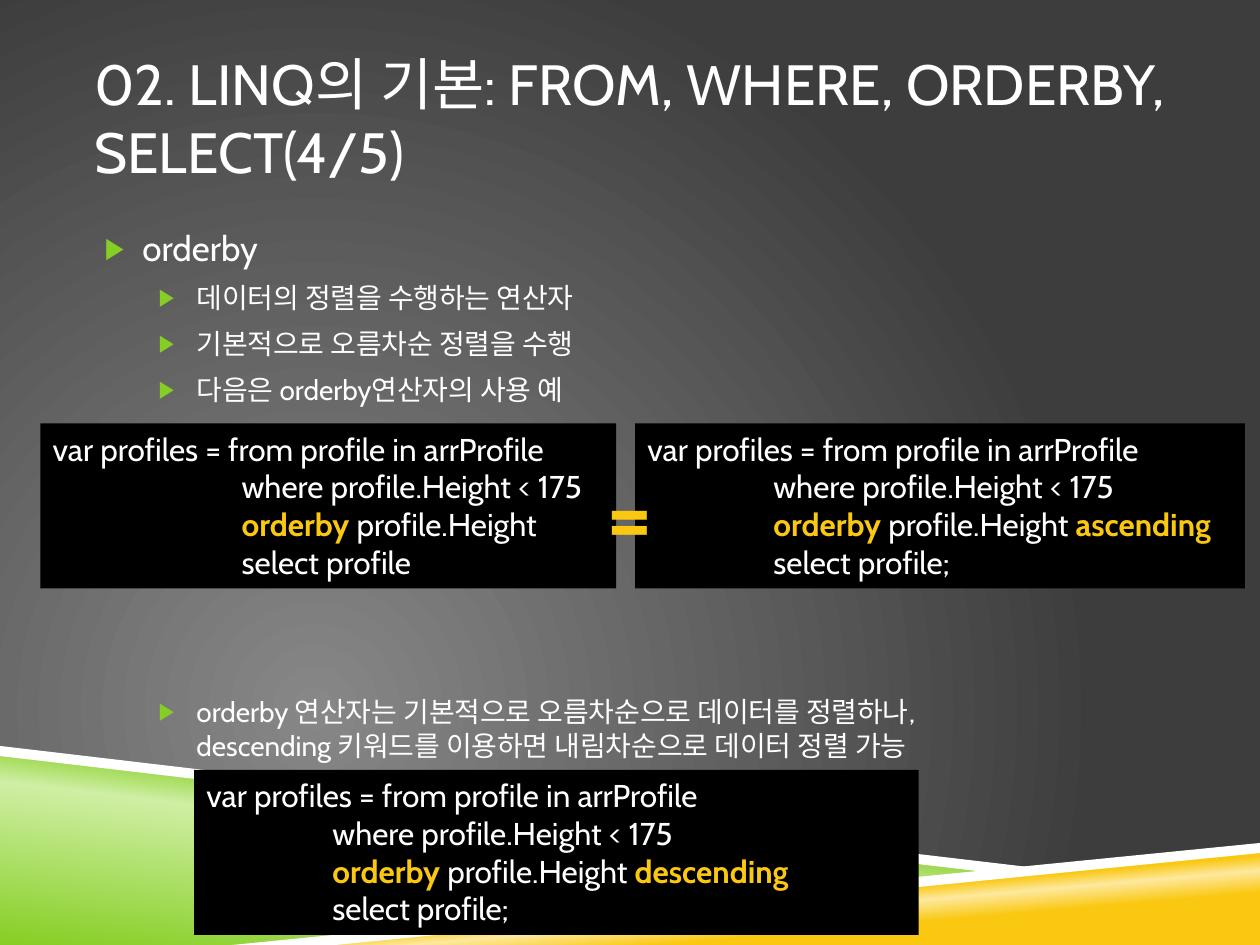
from pptx import Presentation
from pptx.dml.color import RGBColor
from pptx.enum.shapes import MSO_SHAPE
from pptx.enum.text import MSO_ANCHOR, PP_ALIGN
from pptx.oxml import parse_xml
from pptx.oxml.ns import nsdecls, qn
from pptx.util import Inches, Pt

RECT = MSO_SHAPE.RECTANGLE
TOP, MIDDLE = MSO_ANCHOR.TOP, MSO_ANCHOR.MIDDLE
LEFT, CENTER = PP_ALIGN.LEFT, PP_ALIGN.CENTER
FONT = "Cabin"
COLORS = {
    "white": "FFFFFF", "black": "000000",
    "green": "86CE24", "mint": "CFEFA4",
    "gold": "FAC810", "cream": "FDE99F",
    "gray": "878787", "dark": "3D3D3D",
}


def rgb(name):
    return RGBColor.from_string(COLORS[name])


def blend(props, stops, shade):
    """Swap the solid fill inside props for a gradient."""
    marks = "".join(
        f'<a:gs pos="{pos * 1000}"><a:srgbClr val="{COLORS[name]}"/></a:gs>'
        for pos, name in stops)
    grad = parse_xml(f'<a:gradFill {nsdecls("a")} rotWithShape="1">'
                     f'<a:gsLst>{marks}</a:gsLst>{shade}</a:gradFill>')
    props.replace(props.find(qn("a:solidFill")), grad)


def add_run(para, text, size, color="white", bold=False):
    run = para.add_run()
    run.text = text
    font = run.font
    font.name, font.size, font.bold = FONT, Pt(size), bold
    font.color.rgb = rgb(color)
    props = run._r.get_or_add_rPr()
    for tag in ("a:ea", "a:cs"):
        props.append(props.makeelement(qn(tag), {"typeface": FONT}))


def indent(para, left, first=0):
    props = para._p.get_or_add_pPr()
    props.set("marL", str(Inches(left)))
    props.set("indent", str(Inches(first)))
    return props


def add_text(slide, box, anchor, side=0.0):
    frame = slide.shapes.add_textbox(*map(Inches, box)).text_frame
    frame.word_wrap = True
    frame.vertical_anchor = anchor
    frame.margin_left = frame.margin_right = Inches(side)
    return frame


def next_para(frame, index):
    return frame.add_paragraph() if index else frame.paragraphs[0]


def add_band(slide, points, color, stops=None, angle=0):
    (x, y), *rest = [(Inches(a), Inches(b)) for a, b in points]
    pen = slide.shapes.build_freeform(x, y)
    pen.add_line_segments(rest, close=True)
    band = pen.convert_to_shape()
    band.shadow.inherit = False
    band.line.fill.background()
    band.fill.solid()
    band.fill.fore_color.rgb = rgb(color)
    if stops:
        blend(band._element.spPr, stops,
              f'<a:lin ang="{angle * 60000}" scaled="0"/>')


def add_backdrop(slide, wide, high):
    slide.background.fill.solid()
    blend(slide.element.find(".//" + qn("p:bgPr")),
          [(0, "gray"), (100, "dark")],
          '<a:path path="circle"><a:fillToRect l="50000" t="100000" '
          'r="100000" b="50000"/></a:path>')
    # Coloured wedges, then their white edges
    add_band(slide, [(0, 5.97), (7.92, 6.92), (2, high), (0, high)], "green",
             [(0, "green"), (52, "mint"), (66, "green")], 277)
    add_band(slide, [(1.98, high), (wide, 6.72), (wide, high)], "gold",
             [(28, "gold"), (40, "cream"), (48, "gold")], 265)
    add_band(slide, [(0, 5.92), (0, 6), (7.9, 6.93), (8.32, 6.9)], "white")
    add_band(slide, [(wide, 6.69), (1.84, high), (2.66, high), (wide, 6.77)],
             "white")


def add_title(slide, box, text):
    frame = add_text(slide, box, MIDDLE)
    add_run(frame.paragraphs[0], text, 32.4)


def add_bullets(slide, box, items):
    frame = add_text(slide, box, TOP)
    for i, (level, before, lines) in enumerate(items):
        para = next_para(frame, i)
        para.level = level
        para.space_before = Pt(before)
        props = indent(para, (0.38, 0.81)[level], -0.3)
        for part in (f'<a:buClr {{}}><a:srgbClr val="{COLORS["green"]}"/></a:buClr>',
                     '<a:buSzPct {} val="85000"/>',
                     '<a:buFont {} typeface="Arial"/>',
                     '<a:buChar {} char="▶"/>'):
            props.append(parse_xml(part.format(nsdecls("a"))))
        for j, line in enumerate(lines):
            if j:
                para.add_line_break()
            add_run(para, line, (20, 16)[level])


def add_code(slide, box, level, order, end):
    """Query panel; order lists the runs after the orderby keyword."""
    panel = slide.shapes.add_shape(RECT, *map(Inches, box))
    panel.shadow.inherit = False
    panel.fill.solid()
    panel.fill.fore_color.rgb = rgb("black")
    panel.line.fill.background()
    frame = panel.text_frame
    frame.word_wrap = True
    frame.vertical_anchor = TOP
    lines = [
        [("var profiles = from profile in arrProfile", "white")],
        [("where profile.Height < 175", "white")],
        [("orderby ", "gold"), *order],
        [(end, "white")],
    ]
    for i, runs in enumerate(lines):
        para = next_para(frame, i)
        para.alignment = LEFT
        if i:
            para.level = level
            indent(para, level * 0.5)
        for text, color in runs:
            add_run(para, text, 18, color, color == "gold")


def add_equals(slide, box):
    frame = add_text(slide, box, TOP, 0.1)
    frame.word_wrap = False
    para = frame.paragraphs[0]
    para.alignment = CENTER
    add_run(para, "=", 54, "gold", True)


def main():
    deck = Presentation()
    wide, high = 10, 7.5
    deck.slide_width, deck.slide_height = Inches(wide), Inches(high)
    slide = deck.slides.add_slide(deck.slide_layouts[6])

    add_backdrop(slide, wide, high)
    add_title(slide, (0.75, 0.3, 8.5, 1.25),
              "02. LINQ의 기본: FROM, WHERE, ORDERBY, SELECT(4/5)")
    # The last bullet leaves room for the two panels above it
    add_bullets(slide, (0.75, 1.75, 8.5, 4.44), [
        (0, 7, ["orderby"]),
        (1, 7, ["데이터의 정렬을 수행하는 연산자"]),
        (1, 7, ["기본적으로 오름차순 정렬을 수행"]),
        (1, 7, ["다음은 orderby연산자의 사용 예"]),
        (1, 165, ["orderby 연산자는 기본적으로 오름차순으로 데이터를 정렬하나,",
                  "descending 키워드를 이용하면 내림차순으로 데이터 정렬 가능"]),
    ])

    # Query panels
    height = ("profile.Height ", "white")
    add_code(slide, (0.32, 3.36, 4.57, 1.31), 3,
             [("profile.Height", "white")], "select profile")
    add_code(slide, (5.04, 3.36, 4.84, 1.31), 2,
             [height, ("ascending", "gold")], "select profile;")
    add_equals(slide, (4.68, 3.56, 0.64, 1.01))
    add_code(slide, (1.54, 6.11, 5.75, 1.31), 2,
             [height, ("descending", "gold")], "select profile;")
    deck.save("out.pptx")


if __name__ == "__main__":
    main()
